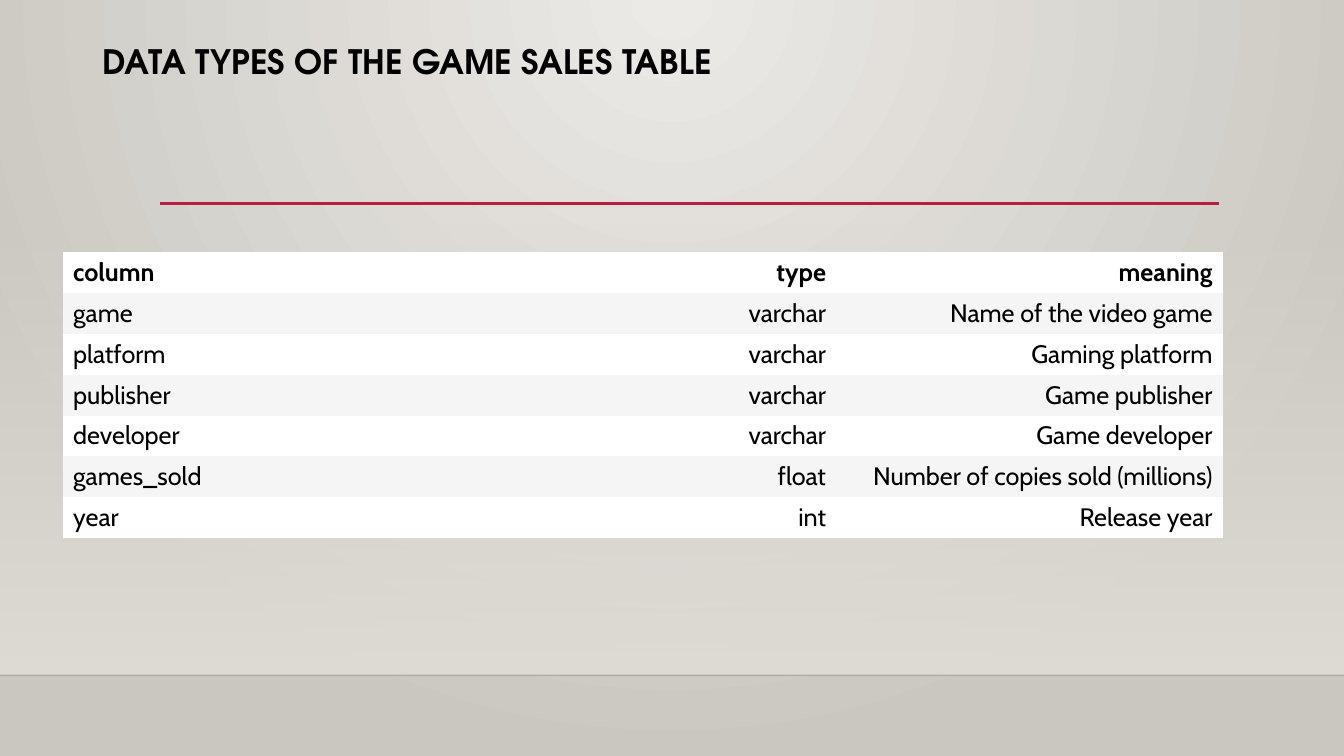
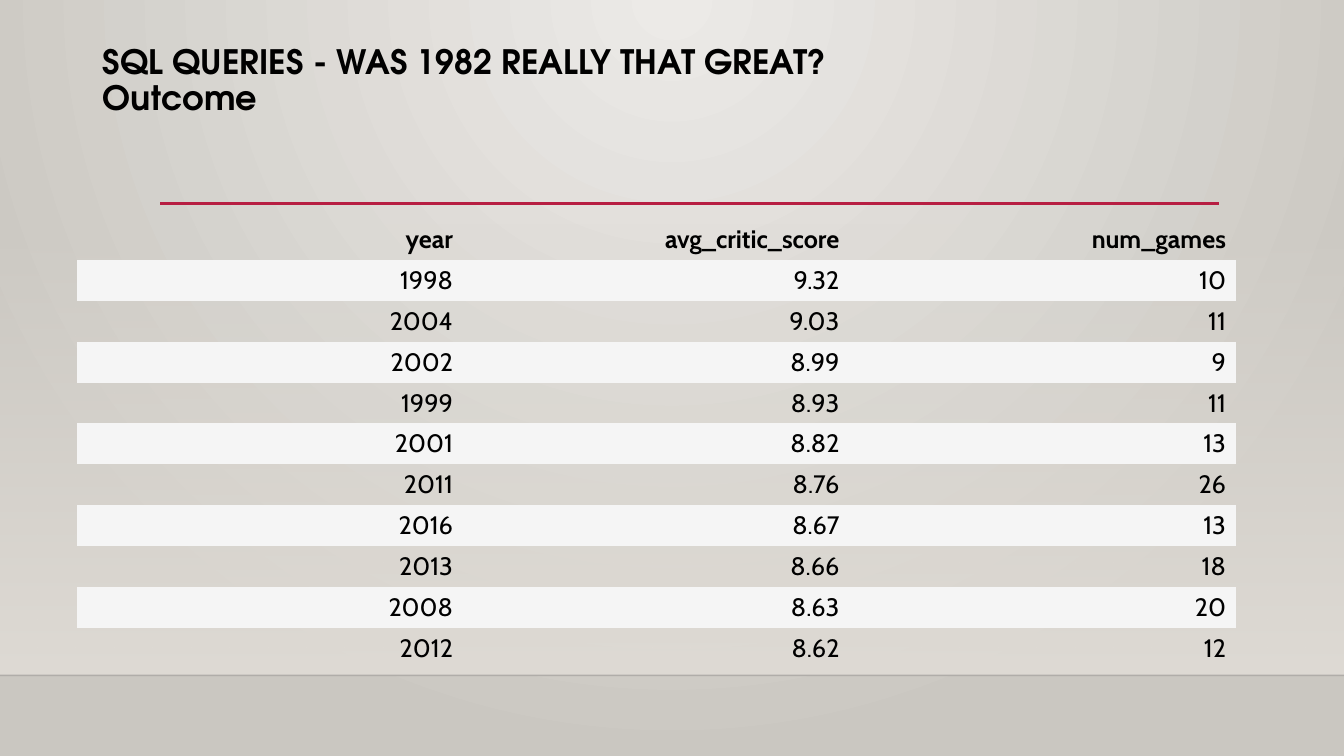
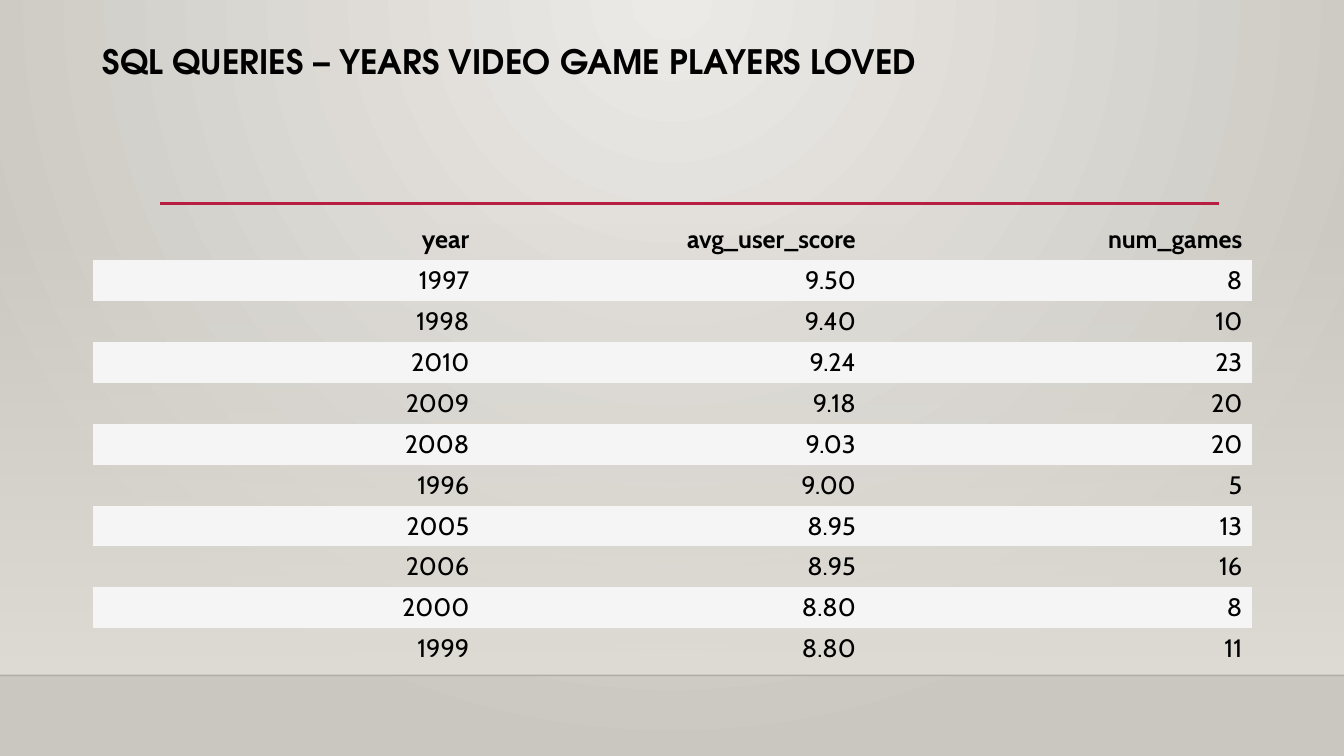
"""Build three slides of game sales data types and query results."""
import lxml.etree
import pptx
import pptx.dml.color
import pptx.enum.shapes
import pptx.enum.text
import pptx.oxml.ns
import pptx.util

Cm = pptx.util.Cm
Pt = pptx.util.Pt
qn = pptx.oxml.ns.qn

COLOURS = {
    "glow": "ECEAE7",
    "edge": "CAC7C1",
    "wall": "DFDBD5",
    "floor": "000001",
    "accent": "B71E42",
    "text": "000000",
    "white": "FFFFFF",
    "band": "F5F5F5",
}
TITLE_FONT = "TeX Gyre Adventor"
TABLE_FONT = "Cabin"
SLIDE_WIDTH = 33.87
SLIDE_HEIGHT = 19.05
FLOOR_TOP = 17.02
COLUMN_WIDTH = 9.74
ROW_HEIGHT = 1.03
PLAIN_TABLE_STYLE = "{2D5ABB26-0587-4C30-8999-92F81FD0307C}"

TYPE_ROWS = [
    ("column", "type", "meaning"),
    ("game", "varchar", "Name of the video game"),
    ("platform", "varchar", "Gaming platform"),
    ("publisher", "varchar", "Game publisher"),
    ("developer", "varchar", "Game developer"),
    ("games_sold", "float", "Number of copies sold (millions)"),
    ("year", "int", "Release year"),
]
CRITIC_ROWS = [
    ("year", "avg_critic_score", "num_games"),
    ("1998", "9.32", "10"),
    ("2004", "9.03", "11"),
    ("2002", "8.99", "9"),
    ("1999", "8.93", "11"),
    ("2001", "8.82", "13"),
    ("2011", "8.76", "26"),
    ("2016", "8.67", "13"),
    ("2013", "8.66", "18"),
    ("2008", "8.63", "20"),
    ("2012", "8.62", "12"),
]
USER_ROWS = [
    ("year", "avg_user_score", "num_games"),
    ("1997", "9.50", "8"),
    ("1998", "9.40", "10"),
    ("2010", "9.24", "23"),
    ("2009", "9.18", "20"),
    ("2008", "9.03", "20"),
    ("1996", "9.00", "5"),
    ("2005", "8.95", "13"),
    ("2006", "8.95", "16"),
    ("2000", "8.80", "8"),
    ("1999", "8.80", "11"),
]


def colour(name):
    """Return the named colour."""
    return pptx.dml.color.RGBColor.from_string(COLOURS[name])


def set_alpha(parent, percent):
    """Set the opacity of the first colour under an element."""
    srgb = next(parent.iter(qn("a:srgbClr")))
    lxml.etree.SubElement(srgb, qn("a:alpha"), val=str(percent * 1000))


def set_gradient(fill, first, last):
    """Give a fill a gradient between two named colours."""
    fill.gradient()
    for stop, position, name in zip(fill.gradient_stops, (0, 1), (first, last)):
        stop.position = position
        stop.color.rgb = colour(name)


def set_background(master):
    """Give every slide a round glow from the top centre."""
    set_gradient(master.background.fill, "glow", "edge")
    gradient = next(master.element.iter(qn("a:gradFill")))
    gradient.remove(gradient.find(qn("a:lin")))
    circle = lxml.etree.SubElement(gradient, qn("a:path"), path="circle")
    lxml.etree.SubElement(circle, qn("a:fillToRect"), l="43000", t="0", r="43000", b="100000")


def add_wall(slide):
    """Add the panel that fades in towards the floor line."""
    top = 5.61
    wall = slide.shapes.add_shape(
        pptx.enum.shapes.MSO_SHAPE.RECTANGLE,
        Cm(0), Cm(top), Cm(SLIDE_WIDTH), Cm(FLOOR_TOP - top))
    wall.shadow.inherit = False
    wall.line.fill.background()
    set_gradient(wall.fill, "wall", "wall")
    wall.fill.gradient_angle = 270
    set_alpha(wall.element.spPr, 0)


def add_rule(slide, left, right, top, name, width):
    """Add a horizontal line and return it."""
    rule = slide.shapes.add_connector(
        pptx.enum.shapes.MSO_CONNECTOR.STRAIGHT, Cm(left), Cm(top), Cm(right), Cm(top))
    rule.line.color.rgb = colour(name)
    rule.line.width = Pt(width)
    lxml.etree.SubElement(rule.element.spPr, qn("a:effectLst"))
    return rule


def style_paragraph(para, font, size, bold):
    """Set the font of a paragraph."""
    para.font.name = font
    para.font.size = Pt(size)
    para.font.bold = bold
    para.font.color.rgb = colour("text")


def add_title(slide, title):
    """Add the slide title."""
    box = slide.shapes.add_textbox(Cm(2.34), Cm(1.02), Cm(29.21), Cm(2))
    box.text_frame.word_wrap = True
    para = box.text_frame.paragraphs[0]
    para.text = title
    para.line_spacing = 0.9
    style_paragraph(para, TITLE_FONT, 24, True)


def fill_cell(cell, text, bold, align, fill_name):
    """Write and style one table cell."""
    cell.vertical_anchor = pptx.enum.text.MSO_ANCHOR.MIDDLE
    if fill_name:
        cell.fill.solid()
        cell.fill.fore_color.rgb = colour(fill_name)
    else:
        cell.fill.background()
    para = cell.text_frame.paragraphs[0]
    para.text = text
    para.alignment = align
    style_paragraph(para, TABLE_FONT, 18, bold)


def add_banded_table(slide, left, top, rows, base_fill=None, first_align="RIGHT"):
    """Add a table with a bold header and a band on every second row."""
    count = len(rows[0])
    frame = slide.shapes.add_table(
        len(rows), count, Cm(left), Cm(top),
        Cm(COLUMN_WIDTH * count), Cm(ROW_HEIGHT * len(rows)))
    next(frame.element.iter(qn("a:tableStyleId"))).text = PLAIN_TABLE_STYLE
    for column in frame.table.columns:
        column.width = Cm(COLUMN_WIDTH)
    aligns = [first_align] + ["RIGHT"] * (count - 1)
    for row_index, row in enumerate(rows):
        fill_name = "band" if row_index % 2 else base_fill
        for column_index, text in enumerate(row):
            align = pptx.enum.text.PP_ALIGN[aligns[column_index]]
            cell = frame.table.cell(row_index, column_index)
            fill_cell(cell, text, row_index == 0, align, fill_name)


def add_page(deck, title):
    """Add a slide with the shared wall, lines and title."""
    page = deck.slides.add_slide(deck.slide_layouts[6])
    add_wall(page)
    floor = add_rule(page, 0, SLIDE_WIDTH, FLOOR_TOP, "floor", 1)
    set_alpha(floor.element.spPr, 20)
    add_rule(page, 4.04, 30.73, 5.13, "accent", 2.5)
    add_title(page, title)
    return page


def main():
    """Build and save the deck."""
    deck = pptx.Presentation()
    deck.slide_width = Cm(SLIDE_WIDTH)
    deck.slide_height = Cm(SLIDE_HEIGHT)
    set_background(deck.slide_master)

    page = add_page(deck, "DATA TYPES OF THE GAME SALES TABLE")
    add_banded_table(page, 1.59, 6.35, TYPE_ROWS, "white", "LEFT")

    page = add_page(deck, "SQL QUERIES - WAS 1982 REALLY THAT GREAT?\nOutcome")
    add_banded_table(page, 1.93, 5.52, CRITIC_ROWS)

    page = add_page(deck, "SQL QUERIES – YEARS VIDEO GAME PLAYERS LOVED")
    add_banded_table(page, 2.34, 5.53, USER_ROWS)

    deck.save("out.pptx")


if __name__ == "__main__":
    main()
